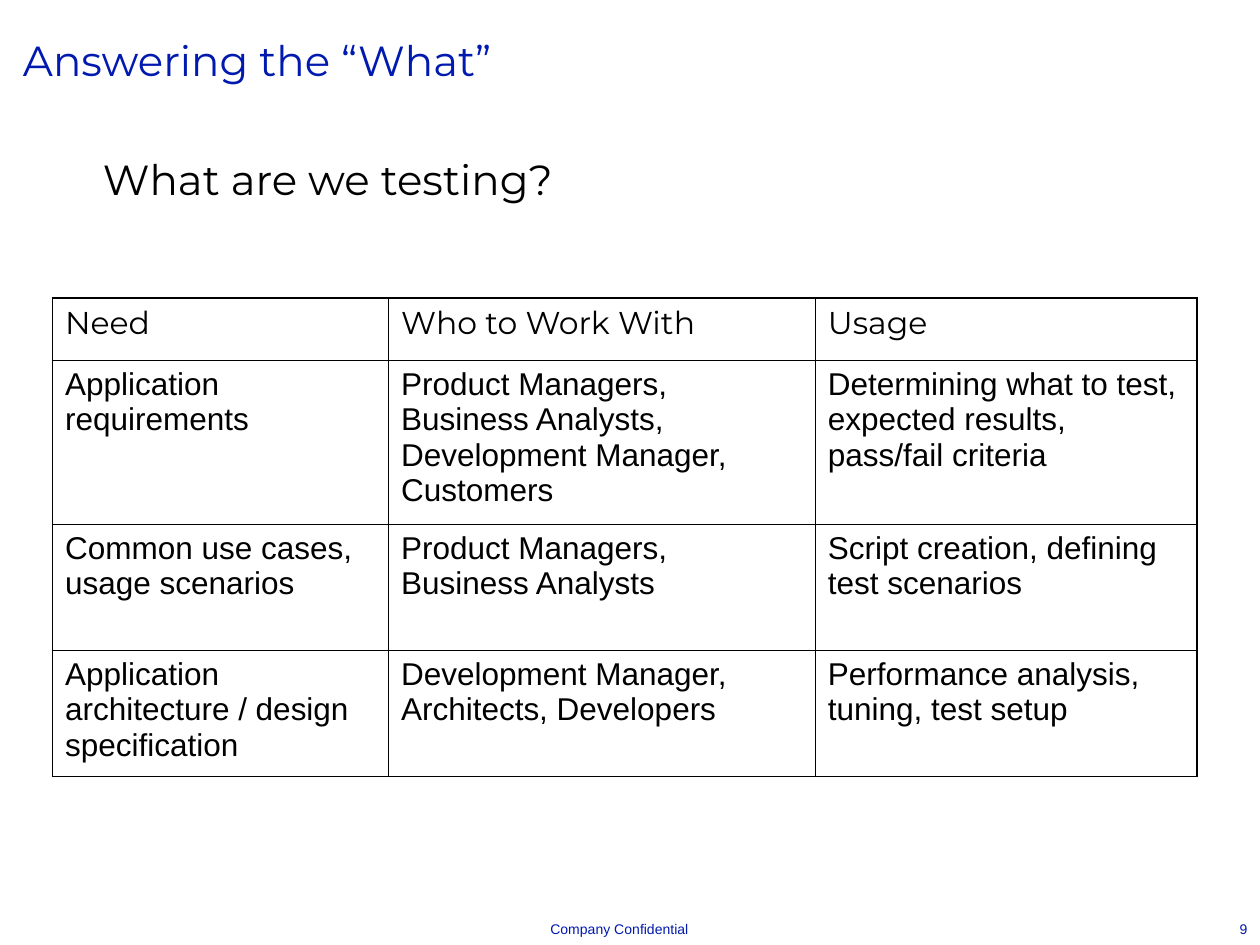
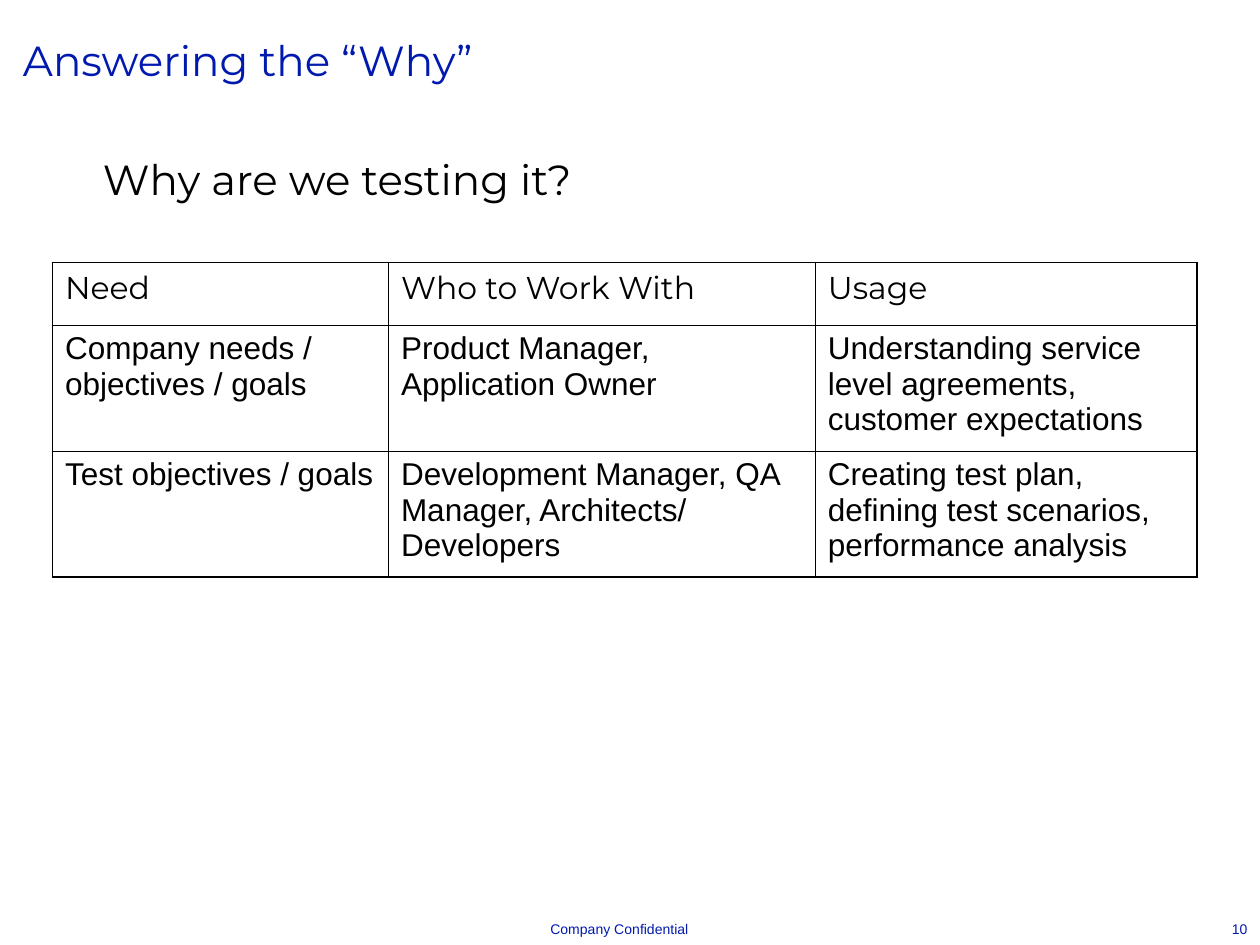
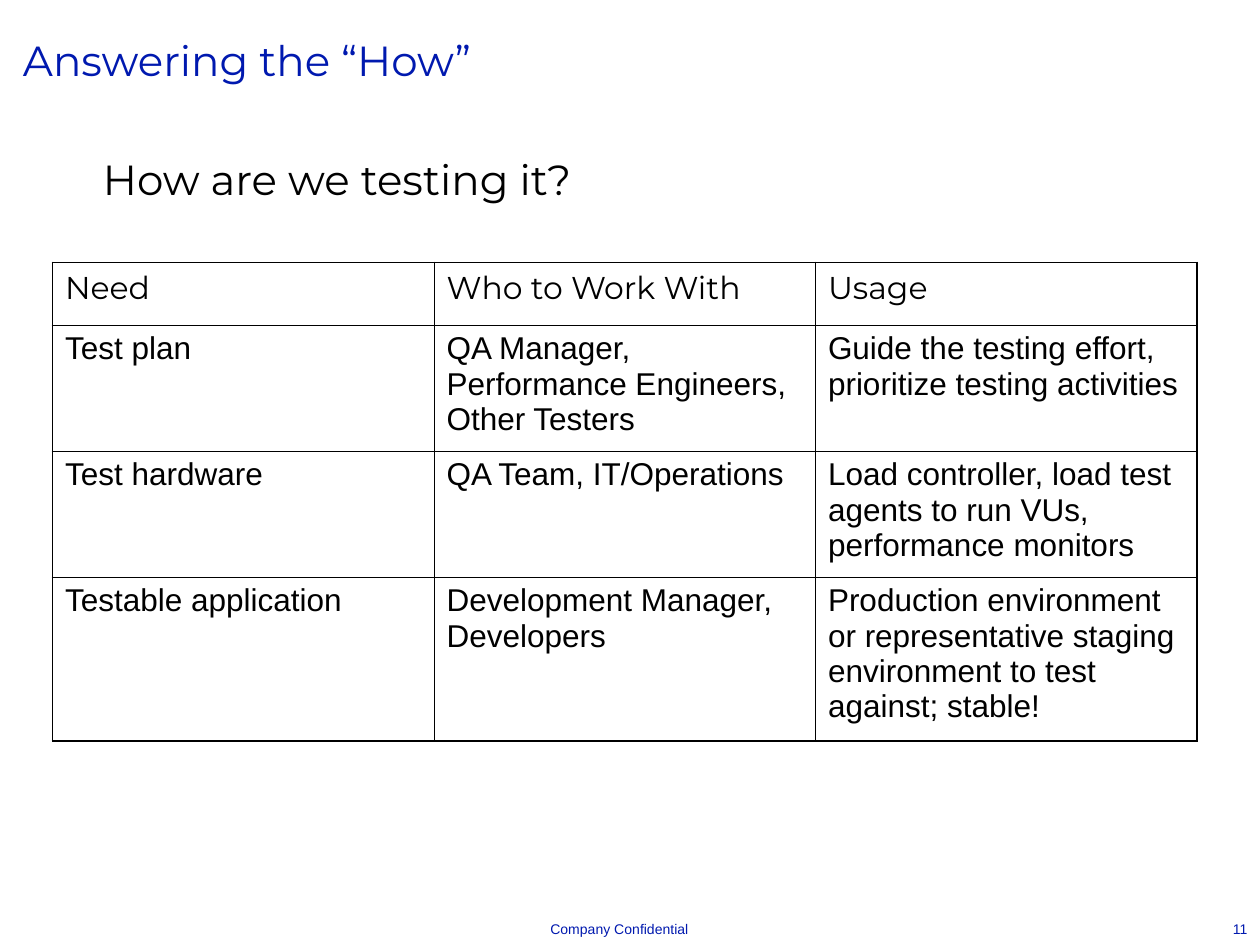
"""Build three slides on what, why and how to test, each with a table of needs."""
import dataclasses
import typing

import lxml.etree
import pptx
import pptx.dml.color
import pptx.enum.shapes
import pptx.enum.text
import pptx.oxml.ns
import pptx.slide
import pptx.util

COLS, ROWS = 120, 90
WIDTH, HEIGHT = pptx.util.Inches(10), pptx.util.Inches(7.5)
HUES = {"blue": "0019AF", "black": "000000", "white": "FFFFFF"}
HEAD, BODY = "Montserrat", "Arial"
THICK, THIN = 1.08, 0.45
ALIGN = pptx.enum.text.PP_ALIGN
MID = pptx.enum.text.MSO_ANCHOR.MIDDLE
LABELS = ("Need", "Who to Work With", "Usage")
FIRST = 9


@dataclasses.dataclass(frozen=True)
class Style:
    font: str
    size: float
    hue: str
    para: dict[str, typing.Any] = dataclasses.field(default_factory=dict)
    frame: dict[str, typing.Any] = dataclasses.field(default_factory=dict)


@dataclasses.dataclass(frozen=True)
class Box:
    left: float
    top: float
    width: float
    height: float
    style: Style


@dataclasses.dataclass(frozen=True)
class Page:
    title: str
    query: str
    top: float
    widths: tuple[float, ...]
    heights: tuple[float, ...]
    rows: tuple[tuple[str, ...], ...]


def across(cols: float) -> int:
    return round(WIDTH * cols / COLS)


def down(rows: float) -> int:
    return round(HEIGHT * rows / ROWS)


GAPS = {"space_before": pptx.util.Pt(5.6), "space_after": pptx.util.Pt(4.5)}
SLIM = {"vertical_anchor": MID, "margin_top": down(0.36), "margin_bottom": down(0.36)}
HEADER = Style(HEAD, 18, "black", GAPS)
ENTRY = Style(BODY, 18, "black", GAPS)
TITLE = Box(1, 1, 93, 10.2, Style(
    HEAD, 24, "blue", {"line_spacing": 0.85}, {"vertical_anchor": MID}))
QUERY = Box(3, 14, 64, 8, Style(
    HEAD, 24, "black",
    {"space_before": pptx.util.Pt(7.5), "space_after": pptx.util.Pt(6)},
    {"margin_left": across(6.8)}))
NOTICE = Box(51, 88, 16, 1, Style(BODY, 8, "blue", {"alignment": ALIGN.CENTER}, SLIM))
NUMBER = Box(115, 88, 5, 1, Style(BODY, 8, "blue", {"alignment": ALIGN.RIGHT}, SLIM))

UNEVEN = (32, 40.65, 36.35)
EVEN = (109 / 3,) * 3
PAGES = (
    Page("Answering the “What”", "What are we testing?", 28.4, UNEVEN,
         (5.97, 15.6, 12, 12), (
        ("Application requirements",
         "Product Managers, Business Analysts, Development Manager, Customers",
         "Determining what to test, expected results, pass/fail criteria"),
        ("Common use cases, usage scenarios",
         "Product Managers, Business Analysts",
         "Script creation, defining test scenarios"),
        ("Application architecture / design specification",
         "Development Manager, Architects, Developers",
         "Performance analysis, tuning, test setup"),
    )),
    Page("Answering the “Why”", "Why are we testing it?", 25, UNEVEN, (5.95, 12, 12), (
        ("Company needs / objectives / goals",
         "Product Manager, Application Owner",
         "Understanding service level agreements, customer expectations"),
        ("Test objectives / goals",
         "Development Manager, QA Manager, Architects/ Developers",
         "Creating test plan, defining test scenarios, performance analysis"),
    )),
    Page("Answering the “How”", "How are we testing it?", 25, EVEN,
         (5.95, 12, 12, 15.63), (
        ("Test plan",
         "QA Manager, Performance Engineers, Other Testers",
         "Guide the testing effort, prioritize testing activities"),
        ("Test hardware",
         "QA Team, IT/Operations",
         "Load controller, load test agents to run VUs, performance monitors"),
        ("Testable application",
         "Development Manager, Developers",
         "Production environment or representative staging environment to test"
         " against; stable!"),
    )),
)


def apply(target: typing.Any, values: dict[str, typing.Any]) -> None:
    for name, value in values.items():
        setattr(target, name, value)


def tint(name: str) -> pptx.dml.color.RGBColor:
    return pptx.dml.color.RGBColor.from_string(HUES[name])


def write(frame: typing.Any, text: str, style: Style) -> None:
    para = frame.paragraphs[0]
    apply(para, style.para)
    run = para.add_run()
    run.text = text
    apply(run.font, {"name": style.font, "size": pptx.util.Pt(style.size)})
    run.font.color.rgb = tint(style.hue)


def place(slide: pptx.slide.Slide, box: Box, text: str) -> None:
    frame = slide.shapes.add_textbox(
        across(box.left), down(box.top), across(box.width), down(box.height)).text_frame
    fixed = {"word_wrap": True, "auto_size": pptx.enum.text.MSO_AUTO_SIZE.NONE}
    apply(frame, fixed | box.style.frame)
    write(frame, text, box.style)


def patch(slide: pptx.slide.Slide) -> None:
    shape = slide.shapes.add_shape(
        pptx.enum.shapes.MSO_SHAPE.RECTANGLE,
        across(117), down(87), across(3), down(3))
    shape.shadow.inherit = False
    shape.fill.solid()
    shape.fill.fore_color.rgb = tint("white")
    shape.line.fill.background()


def border(cell: typing.Any, sides: dict[str, bool]) -> None:
    name = pptx.oxml.ns.qn
    props = cell._tc.get_or_add_tcPr()
    for side, outer in sides.items():
        width = pptx.util.Pt(THICK if outer else THIN)
        line = lxml.etree.SubElement(props, name(f"a:ln{side}"), w=str(width))
        fill = lxml.etree.SubElement(line, name("a:solidFill"))
        lxml.etree.SubElement(fill, name("a:srgbClr"), val=HUES["black"])


def chart(slide: pptx.slide.Slide, page: Page) -> None:
    rows = (LABELS, *page.rows)
    end, last = len(rows) - 1, len(LABELS) - 1
    table = slide.shapes.add_table(
        len(rows), len(LABELS), across(5), down(page.top),
        across(sum(page.widths)), down(sum(page.heights))).table
    apply(table, {"first_row": False, "horz_banding": False})
    for col, width in zip(table.columns, page.widths):
        col.width = across(width)
    for r, (row, height) in enumerate(zip(rows, page.heights)):
        table.rows[r].height = down(height)
        for c, text in enumerate(row):
            cell = table.cell(r, c)
            border(cell, {"L": c == 0, "R": c == last, "T": r == 0, "B": r == end})
            cell.fill.background()
            write(cell.text_frame, text, HEADER if r == 0 else ENTRY)


def main() -> None:
    deck = pptx.Presentation()
    apply(deck, {"slide_width": WIDTH, "slide_height": HEIGHT})
    for number, page in enumerate(PAGES, FIRST):
        slide = deck.slides.add_slide(deck.slide_layouts[6])
        patch(slide)
        place(slide, NOTICE, "Company Confidential")
        place(slide, TITLE, page.title)
        place(slide, QUERY, page.query)
        chart(slide, page)
        place(slide, NUMBER, str(number))
    deck.save("out.pptx")


if __name__ == "__main__":
    main()
